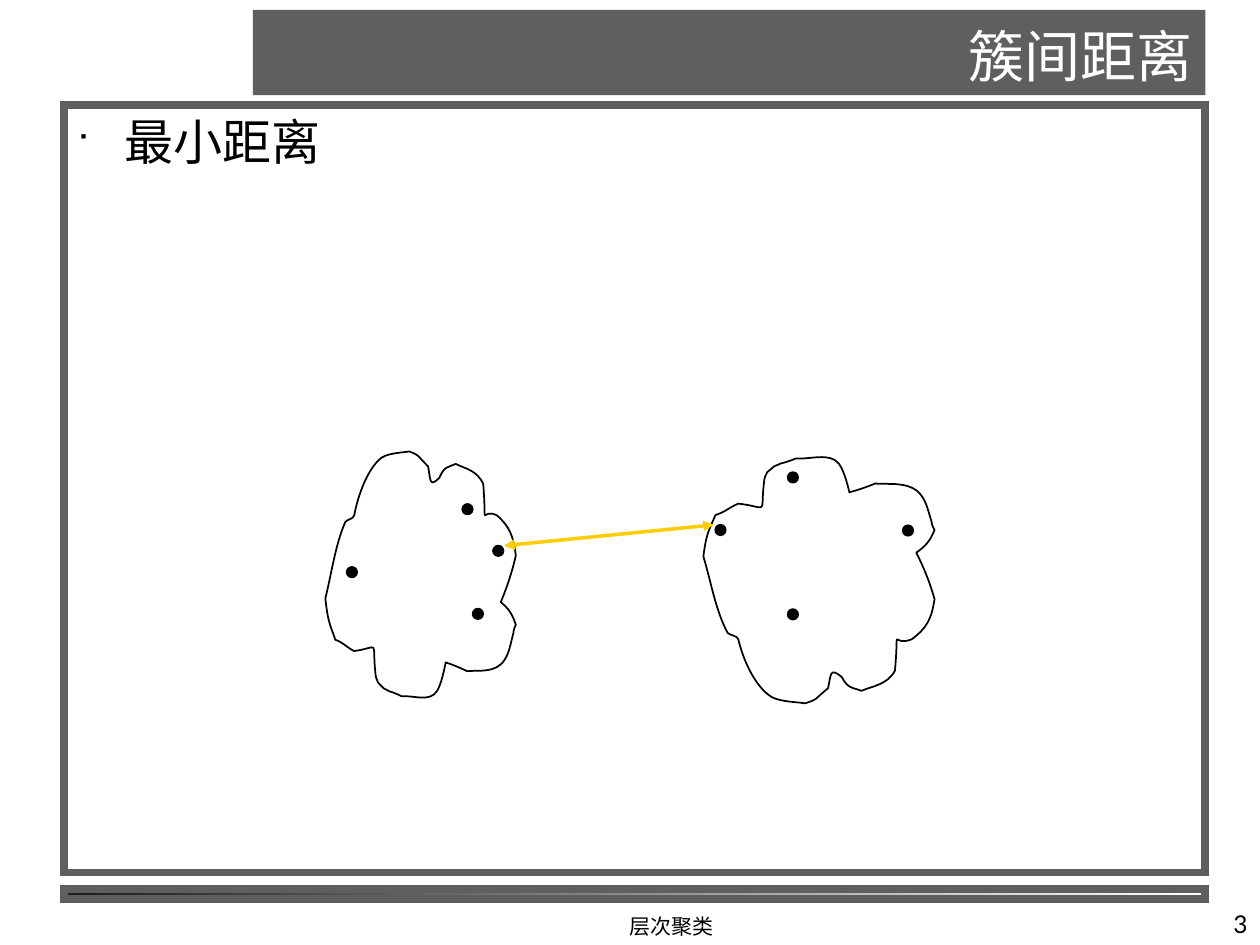
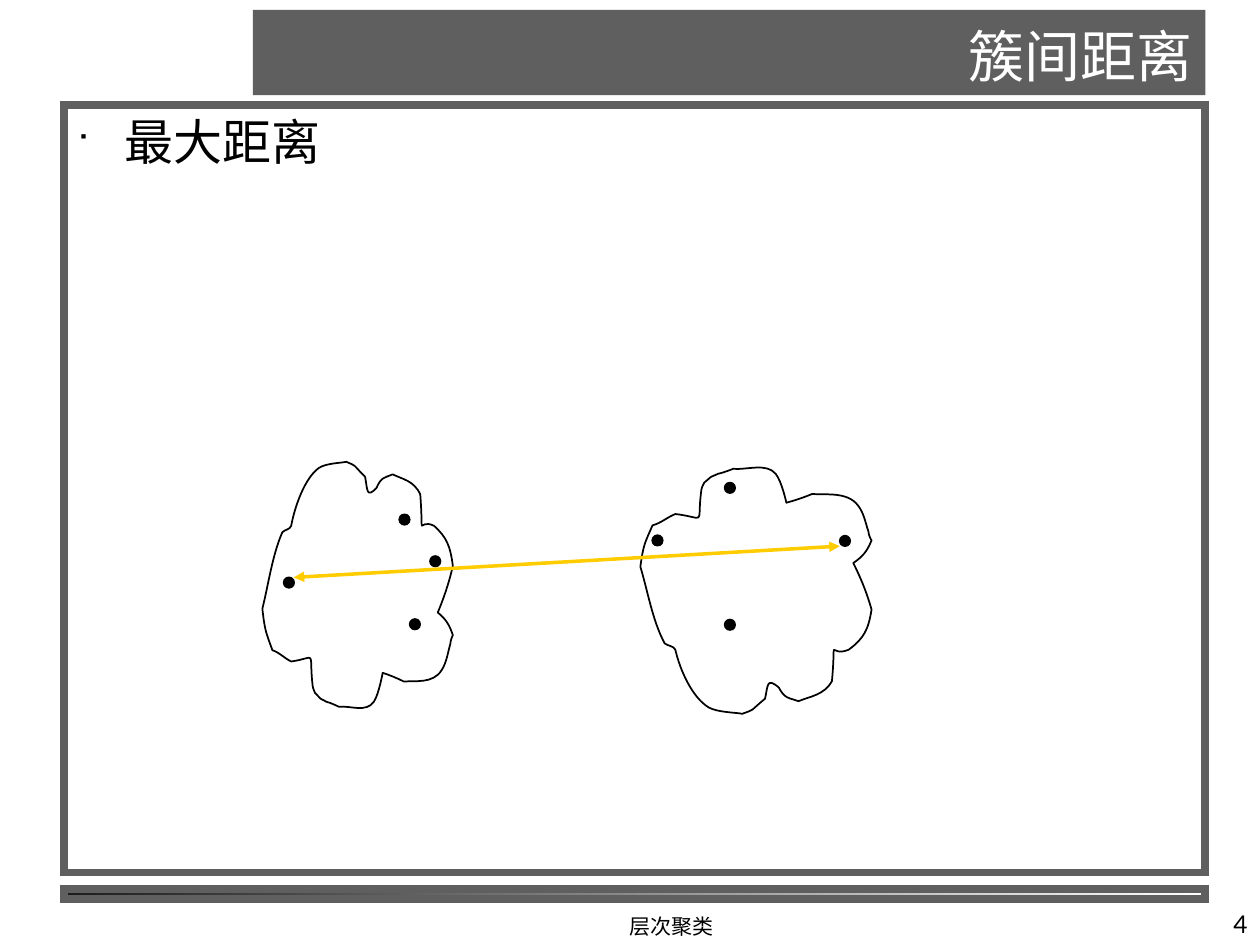
from dataclasses import dataclass

from lxml import etree
from pptx import Presentation
from pptx.dml.color import RGBColor
from pptx.enum.shapes import MSO_CONNECTOR, MSO_SHAPE
from pptx.enum.text import MSO_ANCHOR, PP_ALIGN
from pptx.oxml.ns import qn
from pptx.util import Cm, Pt

RECT = MSO_SHAPE.RECTANGLE
OVAL = MSO_SHAPE.OVAL
STRAIGHT = MSO_CONNECTOR.STRAIGHT
TOP, BOTTOM = MSO_ANCHOR.TOP, MSO_ANCHOR.BOTTOM
LEFT, CENTER, RIGHT = PP_ALIGN.LEFT, PP_ALIGN.CENTER, PP_ALIGN.RIGHT

GREY, DARK, BLACK, WHITE, GOLD = "5F5F5F", "1C1C1C", "000000", "FFFFFF", "FFCC00"
SANS, CJK_SC, CJK_JP = "Lato", "Noto Sans CJK SC", "Noto Sans CJK JP"
TITLE = "簇间距离"
FOOTER = "层次聚类"

FRAME_LEFT, FRAME_WIDTH, FRAME_LINE = 1.3, 23.0, 4.5
DOT_SIZE = 0.21
OUTLINE_WIDTH, OUTLINE_HEIGHT = 152, 201
OUTLINE_START = (16, 56)
OUTLINE_CURVES = [
    (8, 74, 5, 97, 0, 117), (2, 135, 3, 136, 8, 150),
    (14, 152, 17, 156, 23, 159), (44, 156, 37, 149, 40, 177),
    (40, 179, 41, 182, 42, 184), (49, 191, 44, 187, 51, 191),
    (55, 192, 61, 195, 61, 195), (70, 194, 83, 200, 89, 191),
    (93, 185, 96, 168, 96, 168), (102, 170, 107, 172, 113, 175),
    (122, 174, 136, 177, 143, 166), (147, 160, 148, 152, 150, 145),
    (150, 142, 152, 138, 152, 138), (149, 129, 146, 125, 140, 120),
    (145, 108, 149, 96, 152, 83), (150, 67, 147, 60, 137, 51),
    (123, 44, 129, 66, 126, 26), (121, 15, 112, 14, 104, 10),
    (97, 13, 95, 12, 91, 21), (83, 29, 84, 23, 82, 12),
    (71, 1, 76, 4, 67, 0), (63, 1, 51, 1, 45, 5),
    (34, 13, 26, 35, 23, 51), (22, 54, 18, 54, 16, 56),
]


@dataclass(frozen=True)
class Box:
    left: float
    top: float
    width: float
    height: float

    def lengths(self) -> list:
        return [Cm(v) for v in (self.left, self.top, self.width, self.height)]


@dataclass(frozen=True)
class TextStyle:
    size: float
    latin: str
    east_asian: str
    color: str
    align: PP_ALIGN
    anchor: MSO_ANCHOR


@dataclass(frozen=True)
class Cluster:
    box: Box
    upside_down: bool
    dots: tuple


@dataclass(frozen=True)
class DistanceSlide:
    number: int
    heading: str
    dx: float
    dy: float
    arrow: tuple


TITLE_STYLE = TextStyle(32, CJK_SC, CJK_SC, WHITE, RIGHT, BOTTOM)
BODY_STYLE = TextStyle(28, CJK_JP, CJK_JP, BLACK, LEFT, TOP)
FOOTER_STYLE = TextStyle(12, SANS, CJK_SC, BLACK, CENTER, BOTTOM)
NUMBER_STYLE = TextStyle(14, SANS, CJK_SC, BLACK, RIGHT, BOTTOM)

TITLE_BOX = Box(5.1, 0.2, 19.2, 1.72)
BODY_BOX = Box(FRAME_LEFT, 2.12, FRAME_WIDTH, 15.47)
BAND_BOX = Box(FRAME_LEFT, 17.92, FRAME_WIDTH, 0.2)
FOOTER_BOX = Box(9.52, 17.98, 8.05, 1.07)
NUMBER_BOX = Box(20.12, 17.78, 5.28, 1.27)

CLUSTERS = [
    Cluster(Box(6.56, 9.1, 3.84, 5.09), False,
            ((9.53, 12.27), (9.32, 10.16), (6.99, 11.43), (9.94, 11.0))),
    Cluster(Box(14.18, 9.09, 4.66, 5.09), True,
            ((18.2, 10.59), (14.42, 10.58), (15.88, 12.28), (15.88, 9.52))),
]
SLIDES = [
    DistanceSlide(3, "最小距离", 0, 0, (10.16, 11.0, 14.39, 10.58)),
    DistanceSlide(4, "最大距离", -1.27, 0.21, (5.92, 11.64, 16.93, 11.01)),
]


def rgb(color: str) -> RGBColor:
    return RGBColor.from_string(color)


def set_line(line, color: str, width: float) -> None:
    line.color.rgb = rgb(color)
    line.width = Pt(width)


def set_frame_line(line) -> None:
    set_line(line, GREY, FRAME_LINE)
    miter = etree.SubElement(line._get_or_add_ln(), qn("a:miter"))
    miter.set("lim", "800000")


def add_text(sp, text: str, style: TextStyle):
    tf = sp.text_frame
    tf.word_wrap = True
    tf.vertical_anchor = style.anchor
    p = tf.paragraphs[0]
    p.alignment = style.align
    r = p.add_run()
    r.text = text
    r.font.size = Pt(style.size)
    r.font.name = style.latin
    r.font.color.rgb = rgb(style.color)
    ea = etree.SubElement(r.font._element, qn("a:ea"))
    ea.set("typeface", style.east_asian)
    return p


def add_bullet(p) -> None:
    pPr = p._p.get_or_add_pPr()
    pPr.set("marL", str(Cm(0.97)))
    pPr.set("indent", str(-Cm(0.97)))
    color = etree.SubElement(pPr, qn("a:buClr"))
    etree.SubElement(color, qn("a:srgbClr")).set("val", BLACK)
    etree.SubElement(pPr, qn("a:buSzPct")).set("val", "60000")
    etree.SubElement(pPr, qn("a:buFont")).set("typeface", "Wingdings")
    etree.SubElement(pPr, qn("a:buChar")).set("char", "■")


def add_panel(s, box: Box, shape_type=RECT):
    sp = s.shapes.add_shape(shape_type, *box.lengths())
    sp.shadow.inherit = False
    return sp


def add_frame(s, page: DistanceSlide) -> None:
    band = add_panel(s, BAND_BOX)
    band.fill.gradient()
    band.fill.gradient_angle = 180
    for stop, color in zip(band.fill.gradient_stops, (WHITE, DARK)):
        stop.color.rgb = rgb(color)
    set_frame_line(band.line)

    for box, text, style in ((FOOTER_BOX, FOOTER, FOOTER_STYLE),
                             (NUMBER_BOX, str(page.number), NUMBER_STYLE)):
        add_text(s.shapes.add_textbox(*box.lengths()), text, style)

    title = add_panel(s, TITLE_BOX)
    title.fill.solid()
    title.fill.fore_color.rgb = rgb(GREY)
    title.line.fill.background()
    add_text(title, TITLE, TITLE_STYLE)

    body = add_panel(s, BODY_BOX)
    body.fill.background()
    set_frame_line(body.line)
    add_bullet(add_text(body, page.heading, BODY_STYLE))


def bend_segments(sp, curves: list) -> None:
    segments = list(sp._element.iter(qn("a:lnTo")))
    for segment, curve in zip(segments, curves):
        bezier = etree.Element(qn("a:cubicBezTo"))
        for x, y in curve:
            pt = etree.SubElement(bezier, qn("a:pt"))
            pt.set("x", str(x - sp.left))
            pt.set("y", str(y - sp.top))
        segment.getparent().replace(segment, bezier)


def add_cluster(s, cluster: Cluster, dx: float, dy: float) -> None:
    box = cluster.box

    def place(x: float, y: float) -> tuple:
        if cluster.upside_down:
            y = OUTLINE_HEIGHT - y
        return (Cm(box.left + dx + x * box.width / OUTLINE_WIDTH),
                Cm(box.top + dy + y * box.height / OUTLINE_HEIGHT))

    curves = [[place(*c[i:i + 2]) for i in (0, 2, 4)] for c in OUTLINE_CURVES]
    builder = s.shapes.build_freeform(*place(*OUTLINE_START))
    builder.add_line_segments([curve[-1] for curve in curves], close=True)
    outline = builder.convert_to_shape()
    bend_segments(outline, curves)
    outline.shadow.inherit = False
    outline.fill.background()
    set_line(outline.line, BLACK, 1)

    for x, y in cluster.dots:
        dot = add_panel(s, Box(x + dx, y + dy, DOT_SIZE, DOT_SIZE), OVAL)
        dot.fill.solid()
        dot.fill.fore_color.rgb = rgb(BLACK)
        set_line(dot.line, BLACK, 1)


def add_distance_arrow(s, ends: tuple) -> None:
    arrow = s.shapes.add_connector(STRAIGHT, *[Cm(v) for v in ends])
    set_line(arrow.line, GOLD, 2)
    ln = arrow.line._get_or_add_ln()
    for tag in ("a:headEnd", "a:tailEnd"):
        etree.SubElement(ln, qn(tag)).set("type", "triangle")
    etree.SubElement(arrow._element.spPr, qn("a:effectLst"))


def main() -> None:
    prs = Presentation()
    prs.slide_width, prs.slide_height = Cm(25.4), Cm(19.05)
    for page in SLIDES:
        s = prs.slides.add_slide(prs.slide_layouts[6])
        add_frame(s, page)
        for cluster in CLUSTERS:
            add_cluster(s, cluster, page.dx, page.dy)
        add_distance_arrow(s, page.arrow)
    prs.save("out.pptx")


if __name__ == "__main__":
    main()
